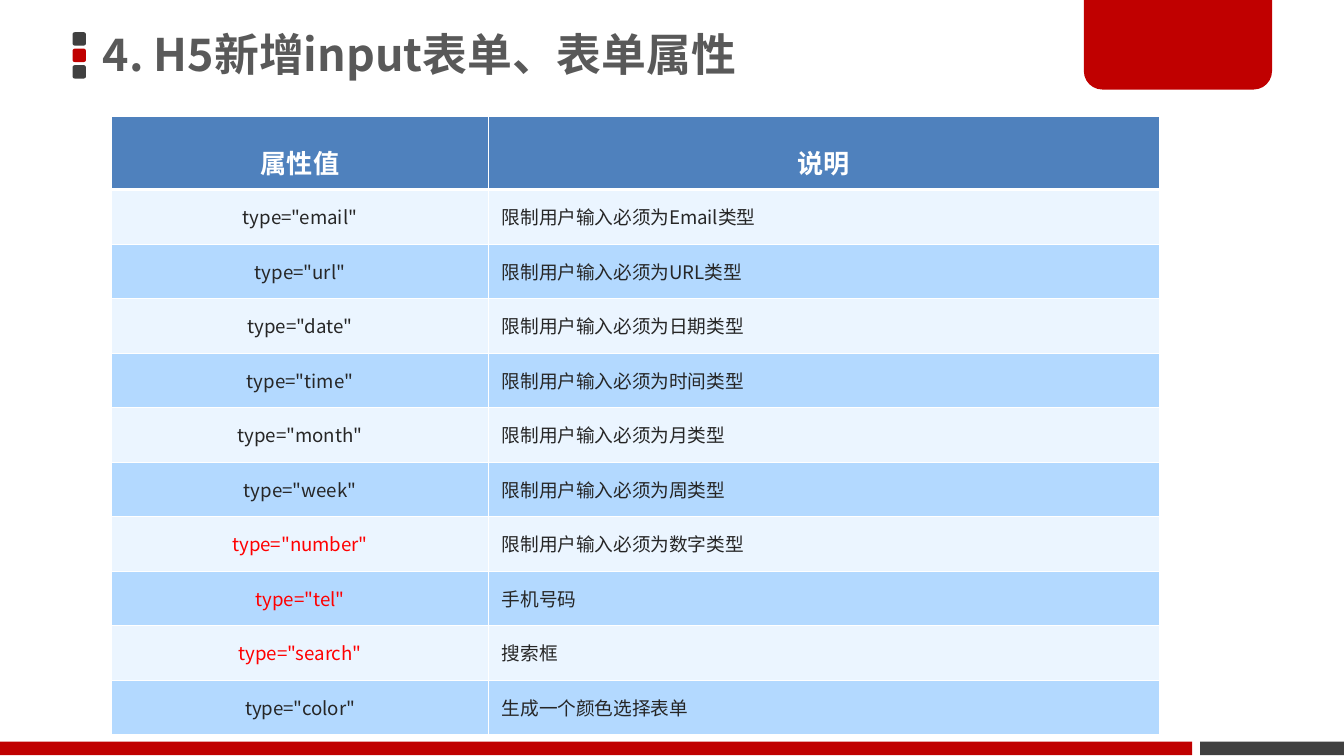
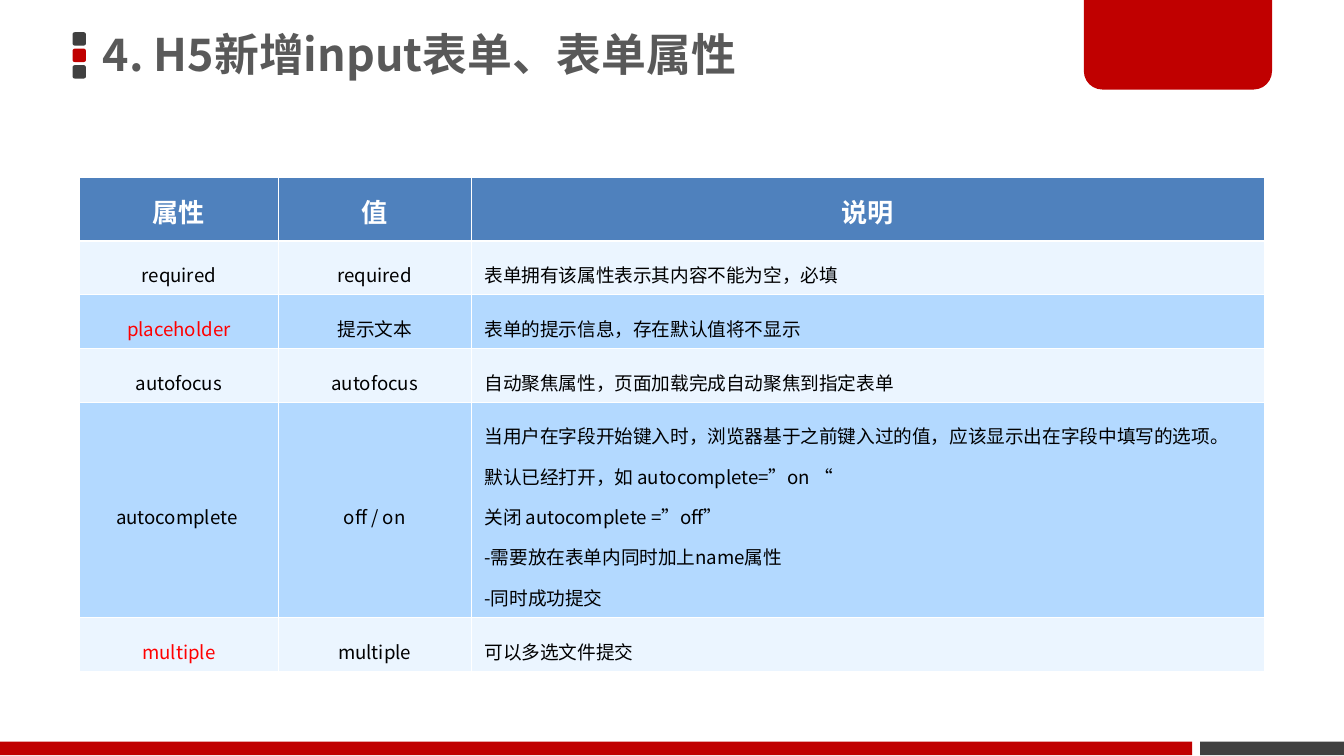
from lxml.etree import SubElement
from pptx import Presentation
from pptx.dml.color import RGBColor
from pptx.enum.shapes import MSO_SHAPE as Shape
from pptx.enum.text import MSO_ANCHOR as Anchor, MSO_AUTO_SIZE as AutoSize, PP_ALIGN as Align
from pptx.oxml.ns import qn
from pptx.util import Inches, Pt

WIDTH = Inches(10)
HEIGHT = WIDTH * 9 // 16
FONT = "Noto Sans CJK SC"
RED, DARK, GREY, WHITE = "C00000", "404040", "595959", "FFFFFF"
HEADER, STRIPES, HIGHLIGHT = "4F81BD", ("EBF5FF", "B3D9FF"), "FF0000"
TITLE = "4. H5新增input表单、表单属性"
THIN, THICK = 0.45, 1.47

INPUT_TYPES = [
    ("属性值", "说明"),
    ('type="email"', "限制用户输入必须为Email类型"),
    ('type="url"', "限制用户输入必须为URL类型"),
    ('type="date"', "限制用户输入必须为日期类型"),
    ('type="time"', "限制用户输入必须为时间类型"),
    ('type="month"', "限制用户输入必须为月类型"),
    ('type="week"', "限制用户输入必须为周类型"),
    ('type="number"', "限制用户输入必须为数字类型"),
    ('type="tel"', "手机号码"),
    ('type="search"', "搜索框"),
    ('type="color"', "生成一个颜色选择表单"),
]
FORM_ATTRIBUTES = [
    ("属性", "值", "说明"),
    ("required", "required", "表单拥有该属性表示其内容不能为空，必填"),
    ("placeholder", "提示文本", "表单的提示信息，存在默认值将不显示"),
    ("autofocus", "autofocus", "自动聚焦属性，页面加载完成自动聚焦到指定表单"),
    ("autocomplete ", "off / on",
     "当用户在字段开始键入时，浏览器基于之前键入过的值，应该显示出在字段中填写的选项。\n"
     "默认已经打开，如 autocomplete=”on “\n"
     "关闭 autocomplete =”off”\n"
     "-需要放在表单内同时加上name属性\n"
     "-同时成功提交"),
    ("multiple", "multiple", "可以多选文件提交"),
]
HIGHLIGHTED = {'type="number"', 'type="tel"', 'type="search"', "placeholder", "multiple"}


def color(value):
    """Turn a hex string into a colour."""
    return RGBColor.from_string(value)


def across(percent):
    """Return a share of the slide's width."""
    return round(WIDTH * percent / 100)


def down(percent):
    """Return a share of the slide's height."""
    return round(HEIGHT * percent / 100)


def box(left, top, width, height):
    """Return a position and size given in percent of the slide."""
    return across(left), down(top), across(width), down(height)


def write(frame, text, size, fill, bold=False, align=Align.LEFT, spacing=1.0, before=0):
    """Fill a text frame with one formatted paragraph for each line of text."""
    frame.text = text
    for paragraph in frame.paragraphs:
        paragraph.alignment = align
        paragraph.line_spacing = spacing
        paragraph.space_before = Pt(before)
        for run in paragraph.runs:
            font = run.font
            font.size, font.bold, font.name = Pt(size), bold, FONT
            font.color.rgb = color(fill)
            SubElement(font._element, qn("a:ea"), typeface=FONT)


def add_block(slide, kind, place, fill, *adjustments):
    """Add a plain filled shape."""
    shape = slide.shapes.add_shape(kind, *box(*place))
    shape.shadow.inherit = False
    shape.fill.solid()
    shape.fill.fore_color.rgb = color(fill)
    shape.line.fill.background()
    for index, value in enumerate(adjustments):
        shape.adjustments[index] = value
    return shape


def decorate_layout(layout, slide):
    """Draw the shared decoration and move it to the layout."""
    for placeholder in list(layout.placeholders)[1:]:
        placeholder.element.getparent().remove(placeholder.element)
    blocks = [
        add_block(slide, Shape.ROUNDED_RECTANGLE, (5.4, 4.26 + 2.18 * row, 1, 1.78), fill, 0.17)
        for row, fill in enumerate((DARK, RED, DARK))
    ]
    blocks += [
        add_block(slide, Shape.RECTANGLE, (89.3, 98.1, 10.7, 1.8), DARK),
        add_block(slide, Shape.ROUND_2_SAME_RECTANGLE, (80.65, -0.36, 14, 12.2), RED, 0, 0.2),
        add_block(slide, Shape.RECTANGLE, (0, 98.1, 88.7, 1.8), RED),
    ]
    for block in blocks:
        layout.shapes.element.append(block.element)


def set_title(slide):
    """Place and format the title."""
    title = slide.shapes.title
    title.left, title.top, title.width, title.height = box(6.85, -0.36, 58.9, 15.82)
    frame = title.text_frame
    frame.word_wrap, frame.auto_size = True, AutoSize.NONE
    frame.vertical_anchor = Anchor.MIDDLE
    frame.margin_left = frame.margin_right = Inches(0.08)
    frame.margin_top = frame.margin_bottom = Inches(0.04)
    write(frame, TITLE, 24, GREY, bold=True, spacing=0.9)


def set_borders(cell, top, bottom):
    """Draw white borders around a cell, ahead of its fill."""
    properties = cell._tc.get_or_add_tcPr()
    sides = {"lnL": THIN, "lnR": THIN, "lnT": top, "lnB": bottom}
    for index, (side, width) in enumerate(sides.items()):
        line = SubElement(properties, qn(f"a:{side}"), w=str(Pt(width)))
        SubElement(SubElement(line, qn("a:solidFill")), qn("a:srgbClr"), val=WHITE)
        properties.insert(index, line)


def add_table(slide, content, left, top, columns, rows, header_format, body_format):
    """Add a striped table with centred columns and a left-aligned last one."""
    place = box(left, top, sum(columns), sum(rows))
    table = slide.shapes.add_table(len(rows), len(columns), *place).table
    for column, width in zip(table.columns, columns):
        column.width = across(width)
    for row_index, (row, height, texts) in enumerate(zip(table.rows, rows, content)):
        row.height = down(height)
        is_header = row_index == 0
        for column_index, (cell, text) in enumerate(zip(row.cells, texts)):
            cell.vertical_anchor = Anchor.MIDDLE
            cell.fill.solid()
            cell.fill.fore_color.rgb = color(HEADER if is_header else STRIPES[(row_index - 1) % 2])
            set_borders(cell, THICK if row_index == 1 else THIN, THICK if is_header else THIN)
            text_format = dict(header_format if is_header else body_format)
            if column_index == 0 and text in HIGHLIGHTED:
                text_format["fill"] = HIGHLIGHT
            is_description = column_index == len(columns) - 1 and not is_header
            align = Align.LEFT if is_description else Align.CENTER
            write(cell.text_frame, text, align=align, **text_format)


def main():
    """Build the two slides."""
    presentation = Presentation()
    presentation.slide_width, presentation.slide_height = WIDTH, HEIGHT
    layout = presentation.slide_layouts.get_by_name("Title Only")
    types_slide, attributes_slide = [presentation.slides.add_slide(layout) for _ in range(2)]
    decorate_layout(layout, types_slide)
    for slide in (types_slide, attributes_slide):
        set_title(slide)

    header = {"size": 14, "fill": WHITE, "bold": True}
    add_table(types_slide, INPUT_TYPES, 8.3, 15.4, (28.05, 49.9), [9.7] + [7.21] * 10,
              header | {"spacing": 1.45, "before": 3.5},
              {"size": 10, "fill": "262626", "before": 2.5})
    add_table(attributes_slide, FORM_ATTRIBUTES, 5.9, 23.5, (14.8, 14.35, 59.05),
              [8.35, 7, 7, 7, 25.04, 7],
              header | {"spacing": 1.1},
              {"size": 10, "fill": "000000", "spacing": 1.5})
    presentation.save("out.pptx")


if __name__ == "__main__":
    main()
